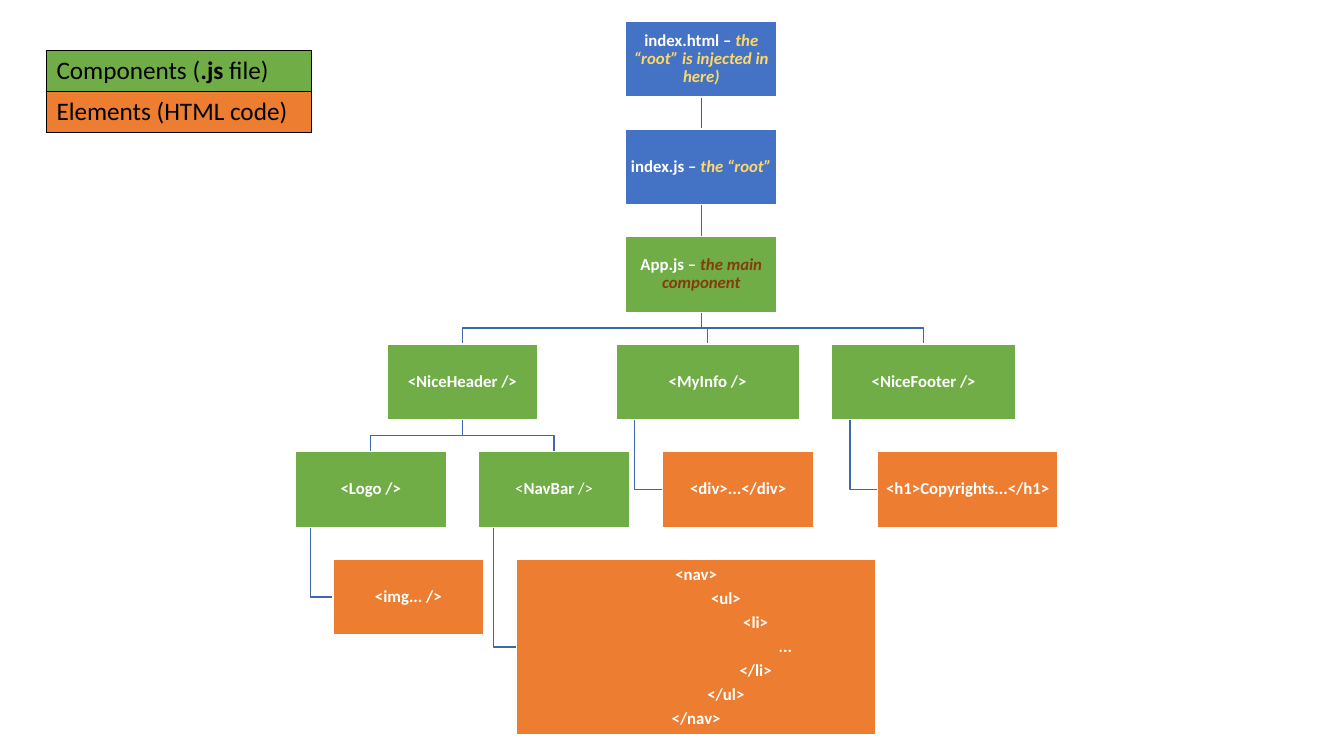
from lxml.etree import SubElement
from pptx import Presentation
from pptx.dml.color import RGBColor
from pptx.enum.shapes import MSO_SHAPE
from pptx.enum.text import MSO_ANCHOR, PP_ALIGN
from pptx.oxml.ns import qn
from pptx.util import Cm, Pt

COLOURS = {
    "page": "4472C4", "component": "70AD47", "element": "ED7D31",
    "white": "FFFFFF", "black": "000000", "yellow": "FFD966", "brown": "843C0B",
    "branch": "3E67B2", "root branch": "365B9D",
}
FONT = "Calibri"
BOX_WIDTH, BOX_HEIGHT = 3.81, 1.91
FIRST_TOP, LEVEL_STEP = 0.54, 2.71
NAV_INDENT = 1.5
STRAIGHT_MARGIN = 0.13


# A run is (text, bold, italic, colour).
def label(text, note="", note_colour="white"):
    """Return the runs of a bold label with an optional italic note."""
    runs = [(text, True, False, "white")]
    return runs + [(note, True, True, note_colour)] if note else runs


# Box name: (level, left, width, height, kind, lines), a line being (indent steps, runs)
BOXES = {
    "html": (0, 15.77, BOX_WIDTH, BOX_HEIGHT, "page",
             [(0, label("index.html – ", "the “root” is injected in here)", "yellow"))]),
    "index": (1, 15.77, BOX_WIDTH, BOX_HEIGHT, "page",
              [(0, label("index.js – ", "the “root”", "yellow"))]),
    "app": (2, 15.77, BOX_WIDTH, BOX_HEIGHT, "component",
            [(0, label("App.js – ", "the main component", "brown"))]),
    "header": (3, 9.75, BOX_WIDTH, BOX_HEIGHT, "component", [(0, label("<NiceHeader />"))]),
    "info": (3, 15.52, 4.63, BOX_HEIGHT, "component", [(0, label("<MyInfo />"))]),
    "footer": (3, 20.96, 4.64, BOX_HEIGHT, "component", [(0, label("<NiceFooter />"))]),
    "logo": (4, 7.44, BOX_WIDTH, BOX_HEIGHT, "component", [(0, label("<Logo />"))]),
    "navbar": (4, 12.06, BOX_WIDTH, BOX_HEIGHT, "component",
               [(0, [("<", False, False, "white"), ("NavBar", True, False, "white"),
                     (" />", False, False, "white")])]),
    "div": (4, 16.7, BOX_WIDTH, BOX_HEIGHT, "element", [(0, label("<div>...</div>"))]),
    "h1": (4, 22.12, 4.54, BOX_HEIGHT, "element", [(0, label("<h1>Copyrights...</h1>"))]),
    "img": (5, 8.39, BOX_WIDTH, BOX_HEIGHT, "element", [(0, label("<img... />"))]),
    "nav": (5, 13.01, 9.07, 4.42, "element",
            [(step, label(tag)) for step, tag in [
                (0, "<nav>"), (1, "<ul>"), (2, "<li>"), (3, "..."),
                (2, "</li>"), (1, "</ul>"), (0, "</nav>")]]),
}
# Branches: (parent, child, route, colour)
BRANCHES = [
    ("html", "index", "down", "root branch"), ("index", "app", "down", "branch"),
    ("app", "header", "down", "branch"), ("app", "info", "down", "branch"),
    ("app", "footer", "down", "branch"), ("header", "logo", "down", "branch"),
    ("header", "navbar", "down", "branch"), ("logo", "img", "side", "branch"),
    ("navbar", "nav", "side", "branch"), ("info", "div", "side", "branch"),
    ("footer", "h1", "side", "branch"),
]
LEGEND = [
    ("component", [("Components (", False, False, "black"), (".js ", True, False, "black"),
                   ("file)", False, False, "black")]),
    ("element", [("Elements (HTML code)", False, False, "black")]),
]


def colour(name):
    """Return the named colour."""
    return RGBColor.from_string(COLOURS[name])


def add_runs(para, runs, size):
    """Write the runs into a paragraph."""
    for text, bold, italic, shade in runs:
        span = para.add_run()
        span.text = text
        font = span.font
        font.name, font.size, font.bold, font.italic = FONT, Pt(size), bold, italic
        font.color.rgb = colour(shade)


def frame_of(name):
    """Return left, top, width and height of a box in centimetres."""
    level, left, width, height = BOXES[name][:4]
    return left, FIRST_TOP + level * LEVEL_STEP, width, height


def branch_points(parent, child, route):
    """Return the corners of the branch from parent to child."""
    left, top, width, height = frame_of(parent)
    child_left, child_top, child_width, child_height = frame_of(child)
    bottom = top + height
    if route == "side":
        start, end = left + width / 10, child_top + child_height / 2
        return [(start, bottom), (start, end), (child_left, end)]
    start, end = left + width / 2, child_left + child_width / 2
    if start == end:
        return [(start, bottom), (end, child_top)]
    middle = (bottom + child_top) / 2
    return [(start, bottom), (start, middle), (end, middle), (end, child_top)]


def add_branch(page, parent, child, route, shade):
    """Draw a branch; a straight one gets a margin on both sides so its frame has a width."""
    points = [(Cm(x), Cm(y)) for x, y in branch_points(parent, child, route)]
    (start_x, start_y), (end_x, end_y) = points[0], points[-1]
    margin = Cm(STRAIGHT_MARGIN) if start_x == end_x else 0
    builder = page.shapes.build_freeform(start_x - margin, start_y)
    if margin:
        builder.move_to(start_x, start_y)
    builder.add_line_segments(points[1:], close=False)
    if margin:
        builder.move_to(end_x + margin, end_y)
    branch = builder.convert_to_shape()
    branch.fill.background()
    branch.shadow.inherit = False
    branch.line.color.rgb = colour(shade)
    branch.line.width = Pt(1)


def add_box(page, name):
    """Draw a box of the tree with its text."""
    kind, lines = BOXES[name][4:]
    box = page.shapes.add_shape(MSO_SHAPE.RECTANGLE, *(Cm(n) for n in frame_of(name)))
    box.shadow.inherit = False
    box.fill.solid()
    box.fill.fore_color.rgb = colour(kind)
    box.line.color.rgb = colour("white")
    box.line.width = Pt(1)
    frame = box.text_frame
    frame.word_wrap = True
    frame.vertical_anchor = MSO_ANCHOR.MIDDLE
    frame.margin_left = frame.margin_right = frame.margin_top = frame.margin_bottom = Cm(0.02)
    for number, (step, runs) in enumerate(lines):
        para = frame.add_paragraph() if number else frame.paragraphs[0]
        para.alignment = PP_ALIGN.CENTER
        para.line_spacing = 0.9
        para.space_after = Pt(4.2)
        if step:
            para._p.get_or_add_pPr().set("marL", str(Cm(step * NAV_INDENT)))
        add_runs(para, runs, 12)


def add_borders(cell):
    """Put a thin black border around a table cell, ahead of its fill."""
    properties = cell._tc.get_or_add_tcPr()
    for position, side in enumerate(("a:lnL", "a:lnR", "a:lnT", "a:lnB")):
        border = SubElement(properties, qn(side), w=str(Pt(1)))
        fill = SubElement(border, qn("a:solidFill"))
        SubElement(fill, qn("a:srgbClr"), val=COLOURS["black"])
        properties.insert(position, border)


def add_legend(page):
    """Draw the table that explains the box colours."""
    row_height = 1.03
    table = page.shapes.add_table(len(LEGEND), 1, Cm(1.17), Cm(1.27), Cm(6.68),
                                  Cm(row_height * len(LEGEND))).table
    table.first_row = table.horz_banding = False
    for number, (kind, runs) in enumerate(LEGEND):
        cell = table.cell(number, 0)
        cell.fill.solid()
        cell.fill.fore_color.rgb = colour(kind)
        add_borders(cell)
        add_runs(cell.text_frame.paragraphs[0], runs, 18)


deck = Presentation()
deck.slide_width, deck.slide_height = Cm(33.87), Cm(19.05)
page = deck.slides.add_slide(deck.slide_layouts[6])
for branch in BRANCHES:
    add_branch(page, *branch)
for name in BOXES:
    add_box(page, name)
add_legend(page)
deck.save("out.pptx")
